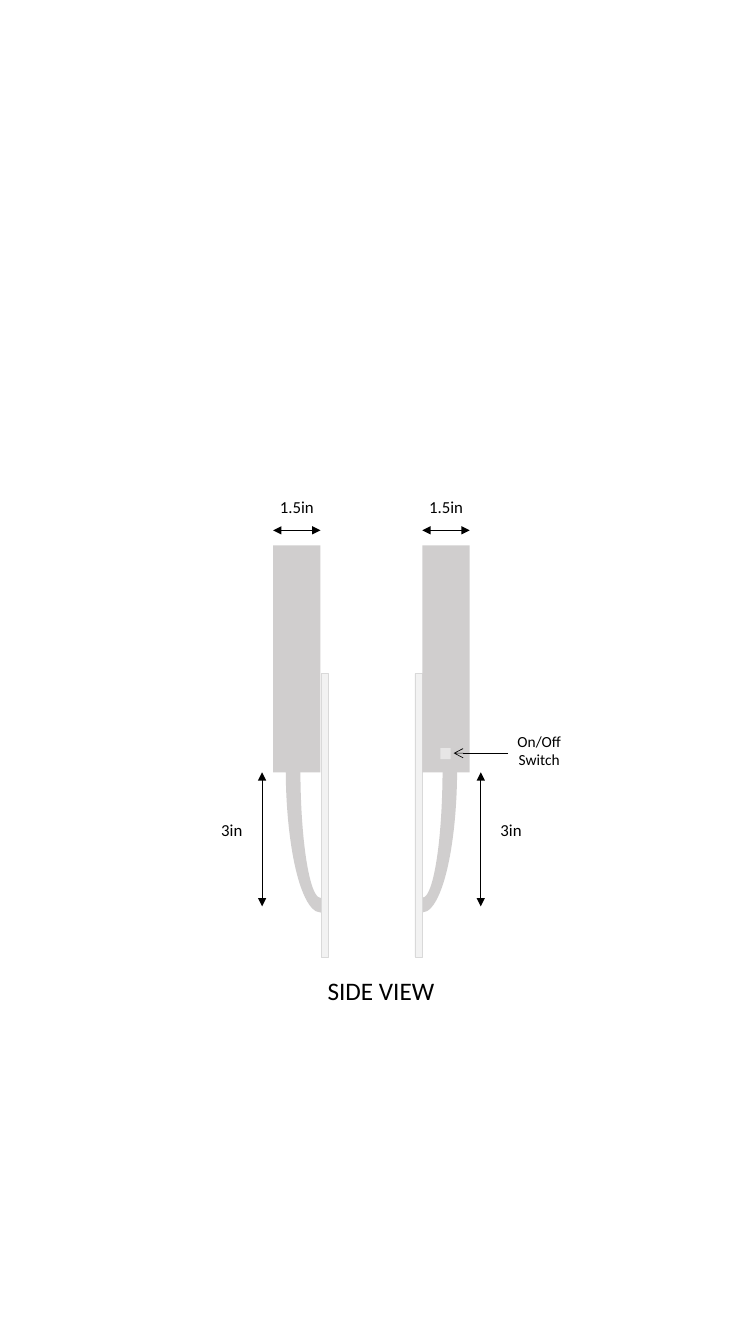
from lxml.etree import SubElement
from pptx import Presentation
from pptx.dml.color import RGBColor
from pptx.enum.shapes import MSO_CONNECTOR, MSO_SHAPE
from pptx.enum.text import MSO_AUTO_SIZE, PP_ALIGN
from pptx.oxml.ns import qn
from pptx.util import Inches, Pt


def color(hex_code):
    return RGBColor.from_string(hex_code)


def write(frame, text, size=12, font="Calibri", ink="000000", align=PP_ALIGN.CENTER):
    """Fill a text frame, one paragraph per line."""
    for index, line in enumerate(text.split("\n")):
        paragraph = frame.add_paragraph() if index else frame.paragraphs[0]
        paragraph.alignment = align
        run = paragraph.add_run()
        run.text = line
        run.font.size = Pt(size)
        run.font.name = font
        run.font.color.rgb = color(ink)


class Drawing:
    """Holds the style and the current slide."""
    BODY, PANEL, PANEL_EDGE = "D0CECE", "F2F2F2", "D9D9D9"
    SWITCH, INK = "E7E6E6", "000000"

    def __init__(self, slide):
        self.slide = slide

    def shape(self, kind, left, top, width, height, fill, edge=None):
        shape = self.slide.shapes.add_shape(
            kind, Inches(left), Inches(top), Inches(width), Inches(height))
        shape.shadow.inherit = False
        shape.fill.solid()
        shape.fill.fore_color.rgb = color(fill)
        if edge:
            shape.line.color.rgb = color(edge)
            shape.line.width = Pt(0.25)
        else:
            shape.line.fill.background()
        return shape

    def box(self, center, top, width, height, fill, edge=None):
        return self.shape(MSO_SHAPE.RECTANGLE, center - width / 2, top,
                          width, height, fill, edge)

    def cable(self, center, top, width, height, rotation, start, end):
        arc = self.shape(MSO_SHAPE.BLOCK_ARC, center - width / 2, top,
                         width, height, self.BODY)
        arc.rotation = rotation
        # Angles count in 60000ths of a degree, adjustments in 100000ths
        arc.adjustments[0] = start % 360 * 0.6
        arc.adjustments[1] = end % 360 * 0.6
        arc.adjustments[2] = 0.21

    def arrow(self, x1, y1, x2, y2, head=None, tail="triangle"):
        line = self.slide.shapes.add_connector(
            MSO_CONNECTOR.STRAIGHT, Inches(x1), Inches(y1), Inches(x2), Inches(y2))
        line.line.color.rgb = color(self.INK)
        line.line.width = Pt(0.5)
        outline = line.line._get_or_add_ln()
        for end, style in (("a:headEnd", head), ("a:tailEnd", tail)):
            if style:
                SubElement(outline, qn(end), type=style)
        SubElement(line.element.spPr, qn("a:effectLst"))

    def label(self, text, center, top, width, height, **style):
        box = self.slide.shapes.add_textbox(
            Inches(center - width / 2), Inches(top), Inches(width), Inches(height))
        box.text_frame.word_wrap = False
        box.text_frame.auto_size = MSO_AUTO_SIZE.SHAPE_TO_FIT_TEXT
        write(box.text_frame, text, **style)


presentation = Presentation()
presentation.slide_width = Inches(7.5)
presentation.slide_height = Inches(13.33)
drawing = Drawing(presentation.slides.add_slide(presentation.slide_layouts[6]))

# Geometry of the left half; the right half mirrors it
MIRROR_SUM = 7.37
OUTER, INNER = 2.71, 3.18
BODY_TOP, BODY_BOTTOM = 5.41, 7.66
CABLE_START, CABLE_END = 178.45, 270.76


def same(x):
    return x


def mirrored(x):
    return MIRROR_SUM - x


# Both side views: place, cable rotation and cable angles
halves = [(same, 270, CABLE_START, CABLE_END),
          (mirrored, 90, 180 - CABLE_END, 180 - CABLE_START)]
for place, rotation, start, end in halves:
    body_center = place((OUTER + INNER) / 2)

    # Cable, panel and body
    drawing.cable(place(3.18), 7.27, 2.87, 0.69, rotation, start, end)
    drawing.box(place(INNER + 0.04), 6.68, 0.07, 2.81,
                drawing.PANEL, drawing.PANEL_EDGE)
    drawing.box(body_center, BODY_TOP, INNER - OUTER, BODY_BOTTOM - BODY_TOP,
                drawing.BODY)

    # Width and drop dimensions
    drawing.arrow(place(INNER), 5.26, place(OUTER), 5.26, head="triangle")
    drawing.label("1.5in", body_center, 4.88, 0.54, 0.3)
    drawing.arrow(place(2.6), 8.99, place(2.6), BODY_BOTTOM, head="triangle")
    drawing.label("3in", place(2.3), 8.08, 0.41, 0.3)

# Switch with its callout
drawing.box(4.42, 7.42, 0.1, 0.11, drawing.SWITCH)
drawing.arrow(5.04, 7.47, 4.5, 7.47, tail="arrow")
drawing.label("On/Off\nSwitch", 5.35, 7.21, 0.64, 0.47, size=11)

# Caption
drawing.label("SIDE VIEW", 3.78, 9.62, 1.27, 0.4, size=18)

presentation.save("out.pptx")
